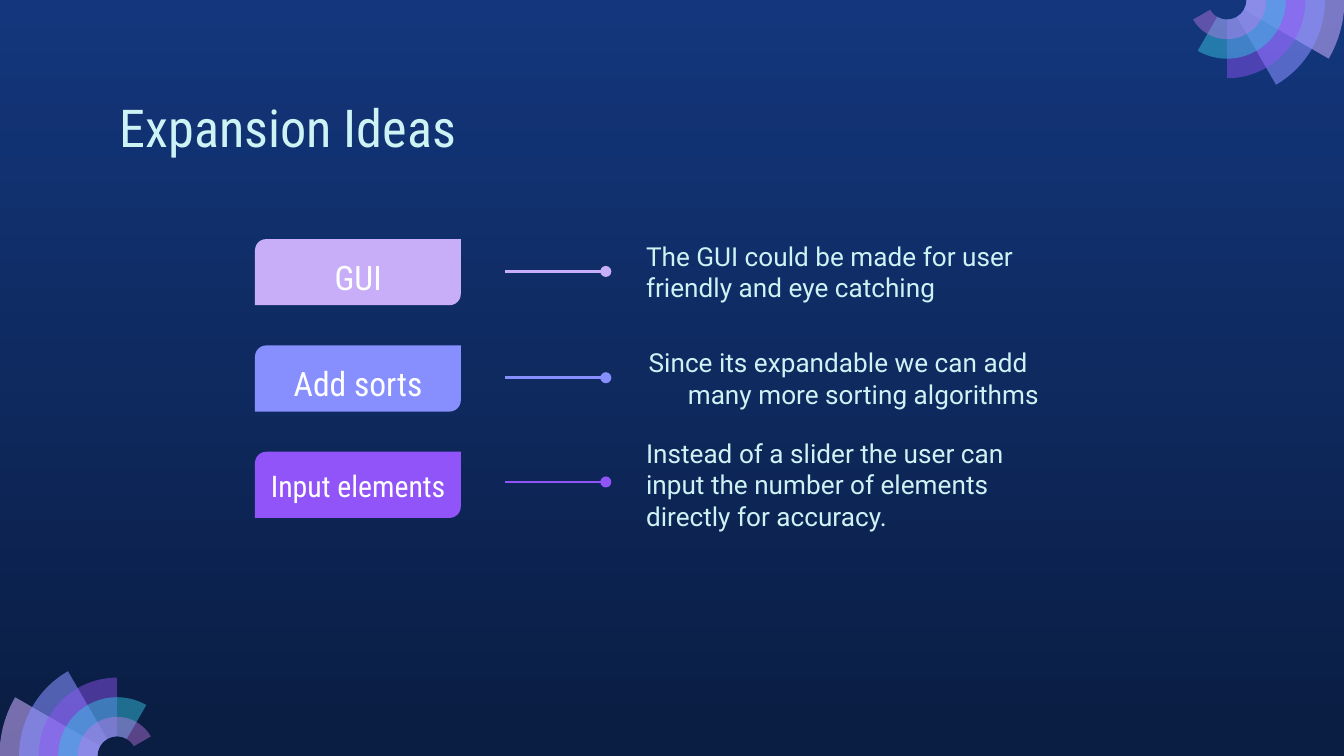
from math import ceil, cos, radians, sin, tan

from lxml.etree import SubElement
from pptx import Presentation
from pptx.dml.color import RGBColor
from pptx.enum.shapes import MSO_CONNECTOR, MSO_SHAPE
from pptx.enum.text import MSO_ANCHOR, PP_ALIGN
from pptx.oxml.ns import qn
from pptx.util import Cm, Pt

WIDE, HIGH = 25.4, 14.29
COLOURS = {
    "top": "13367C", "base": "0A1D42", "text": "CEF3F5", "white": "FFFFFF",
    "lilac": "C8AEF8", "blue": "878FFF", "violet": "9154F8",
    "pale": "C8ACFD", "cyan": "35C2DF", "pink": "CA7BEB",
}
HEAD, BODY = "Roboto Condensed", "Roboto"


def rgb(name):
    return RGBColor.from_string(COLOURS[name])


def write(frame, text, font=BODY, size=14, colour="text", align=PP_ALIGN.LEFT,
          anchor=MSO_ANCHOR.TOP, left=0.25, right=0.25, hang=0):
    frame.word_wrap = True
    frame.vertical_anchor = anchor
    frame.margin_left, frame.margin_right = Cm(left), Cm(right)
    frame.margin_top = frame.margin_bottom = Cm(0.25)
    para = frame.paragraphs[0]
    para.alignment = align
    if hang:
        props = para._p.get_or_add_pPr()
        props.set("marL", str(Cm(hang)))
        props.set("indent", str(-Cm(hang)))
    run = para.add_run()
    run.text = text
    run.font.name, run.font.size = font, Pt(size)
    run.font.color.rgb = rgb(colour)


def arc(x, y, radius, start, sweep):
    """Bezier points of an arc, in curves of at most 90 degrees."""
    count = ceil(abs(sweep) / 90)
    turn = radians(sweep / count)
    pull = 4 / 3 * tan(turn / 4)
    points = []
    for i in range(count):
        a = radians(start) + i * turn
        b = a + turn
        points += [(cos(a) - pull * sin(a), sin(a) + pull * cos(a)),
                   (cos(b) + pull * sin(b), sin(b) - pull * cos(b)),
                   (cos(b), sin(b))]
    first = (cos(radians(start)), sin(radians(start)))
    return [(Cm(x + radius * u), Cm(y + radius * v))
            for u, v in [first] + points]


def bend(lines):
    """Turn each three straight segments into one curve."""
    for i in range(0, len(lines), 3):
        curve = lines[i].makeelement(qn("a:cubicBezTo"))
        lines[i].addprevious(curve)
        for line in lines[i:i + 3]:
            curve.append(line[0])
            line.getparent().remove(line)


class Deck:
    def __init__(self):
        self.show = Presentation()
        self.show.slide_width, self.show.slide_height = Cm(WIDE), Cm(HIGH)
        self.slide = self.show.slides.add_slide(self.show.slide_layouts[6])
        self.shapes = self.slide.shapes

    def back(self, *names):
        fill = self.slide.background.fill
        fill.gradient()
        fill.gradient_angle = 270
        for stop, name, place in zip(fill.gradient_stops, names, (0, 1)):
            stop.color.rgb = rgb(name)
            stop.position = place

    def paint(self, shape, colour):
        shape.shadow.inherit = False
        shape.fill.solid()
        shape.fill.fore_color.rgb = rgb(colour)
        shape.line.fill.background()

    def text(self, x, y, w, h, words, **style):
        box = self.shapes.add_textbox(Cm(x), Cm(y), Cm(w), Cm(h))
        write(box.text_frame, words, **style)

    def badge(self, x, y, w, h, colour):
        shape = self.shapes.add_shape(MSO_SHAPE.ROUND_2_DIAG_RECTANGLE,
                                      Cm(x), Cm(y), Cm(w), Cm(h))
        shape.adjustments[0] = 0.17
        self.paint(shape, colour)

    def line(self, x, y, end, colour):
        line = self.shapes.add_connector(MSO_CONNECTOR.STRAIGHT,
                                         Cm(x), Cm(y), Cm(end), Cm(y))
        line.line.color.rgb = rgb(colour)
        line.line.width = Pt(1.5)
        SubElement(line.line._get_or_add_ln(), qn("a:tailEnd"), type="oval")
        SubElement(line._element.spPr, qn("a:effectLst"))

    def sector(self, x, y, inner, outer, start, sweep, colour, alpha):
        rim = arc(x, y, outer, start, sweep)
        hole = arc(x, y, inner, start + sweep, -sweep)
        build = self.shapes.build_freeform(*rim[0])
        build.add_line_segments(rim[1:] + hole, close=True)
        shape = build.convert_to_shape()
        lines = list(shape._element.iter(qn("a:lnTo")))
        bend(lines[:len(rim) - 1])
        bend(lines[len(rim):])
        self.paint(shape, colour)
        tint = shape._element.spPr.find(qn("a:solidFill"))[0]
        SubElement(tint, qn("a:alpha"), val=str(alpha * 1000))

    def fan(self, x, y, start):
        # Each ring is one step smaller and sweeps 30 degrees further
        step = 0.37
        rings = [("pale", 57), ("blue", 58), ("violet", 46),
                 ("cyan", 49), ("pink", 42)]
        for i, (colour, alpha) in enumerate(rings):
            self.sector(x, y, step, step * (6 - i), start, 30 * (i + 1),
                        colour, alpha)


def main():
    deck = Deck()

    # Background and corner fans
    deck.back("top", "base")
    deck.fan(2.21, HIGH, 180)
    deck.fan(WIDE - 2.21, 0, 0)

    # Title
    deck.text(2.01, 1.55, 21.41, 1.6, "Expansion Ideas", font=HEAD, size=28)

    # Idea rows: label, size, lift, colour, details, text left, text format
    rows = [
        ("GUI", 18, 0, "lilac",
         "The GUI could be made for user friendly and eye catching",
         11.45, {"left": 0.76}),
        ("Add sorts", 18, 0, "blue",
         "Since its expandable we can add many more sorting algorithms",
         12.01, {"hang": 0.74}),
        ("Input elements", 16, 0.04, "violet",
         "Instead of a slider the user can input the number of elements "
         "directly for accuracy.",
         11.45, {"left": 0.76}),
    ]
    for i, (label, size, lift, colour, words, left, style) in enumerate(rows):
        top = 4.52 + 2.01 * i
        deck.badge(4.82, top, 3.89, 1.25, colour)
        deck.text(4.41, top + 0.09 - lift, 4.72, 1.1, label, font=HEAD,
                  size=size, colour="white", align=PP_ALIGN.CENTER)
        deck.line(9.54, top + 0.61 - lift, 11.45, colour)
        deck.text(left, top - 0.2, 20.6 - left, 1.63, words, right=0.76,
                  anchor=MSO_ANCHOR.MIDDLE, **style)

    deck.show.save("out.pptx")


if __name__ == "__main__":
    main()
